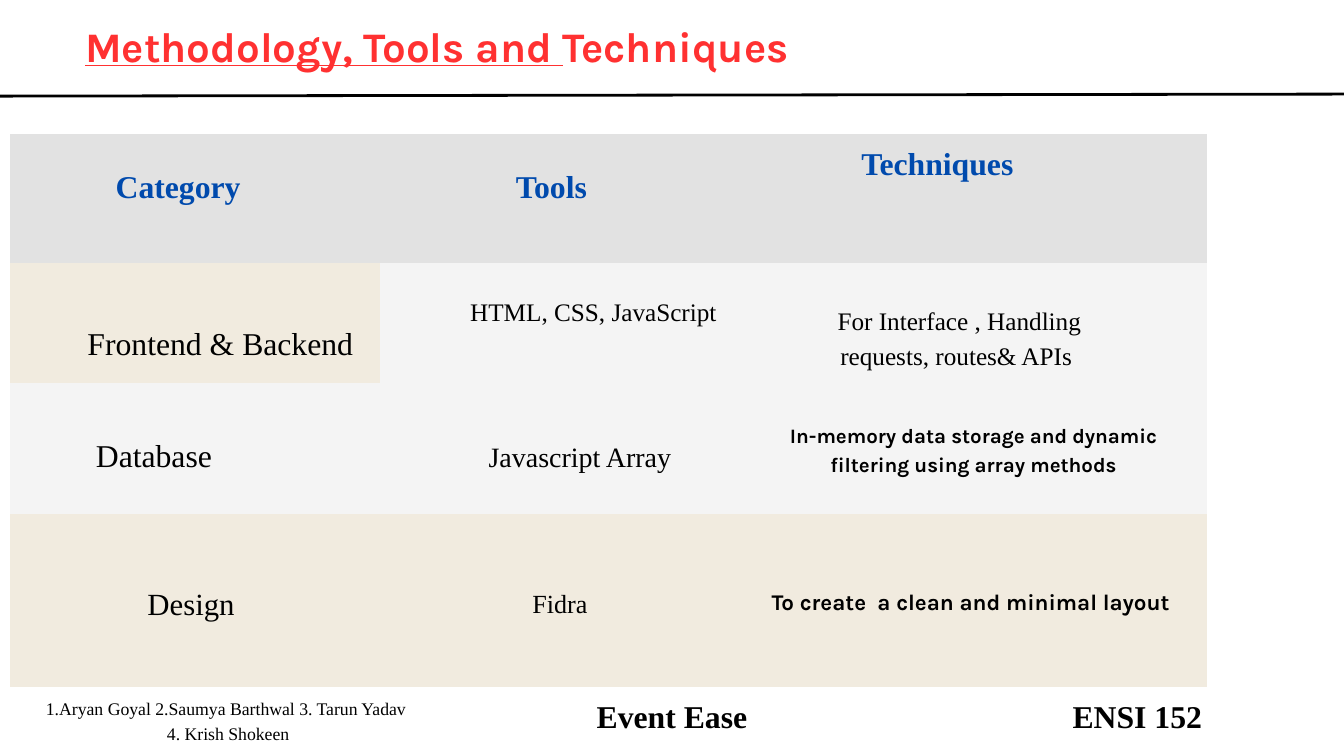
import dataclasses

import pptx
import pptx.dml.color
import pptx.enum.shapes
import pptx.enum.text
import pptx.oxml.ns
import pptx.util
from lxml import etree

Pt = pptx.util.Pt
Align = pptx.enum.text.PP_ALIGN
Anchor = pptx.enum.text.MSO_ANCHOR


@dataclasses.dataclass(frozen=True)
class Theme:
    serif: str = "Times New Roman"
    sans: str = "Karla"
    black: str = "000000"
    red: str = "FF3131"
    blue: str = "004AAD"
    grey: str = "E2E2E2"
    light: str = "F4F4F4"
    cream: str = "F1EBDF"
    title: float = 45
    heading: float = 34
    design: float = 33
    array: float = 30
    tool: float = 28
    body: float = 27
    layout: float = 24
    storage: float = 22
    names: float = 19
    leading: float = 1.4


THEME = Theme()


def rgb(value):
    return pptx.dml.color.RGBColor.from_string(value)


def set_all(target, values):
    for name, value in values.items():
        setattr(target, name, value)


def set_margins(target, margin):
    for side in ("left", "top", "right", "bottom"):
        setattr(target, f"margin_{side}", Pt(margin))


def write_paragraph(paragraph, runs, size, font=THEME.serif, color=THEME.black, bold=False):
    """Fill a centred paragraph from (text, underline) runs."""
    paragraph.alignment = Align.CENTER
    paragraph.line_spacing = Pt(size * THEME.leading)
    for text, underline in runs:
        run = paragraph.add_run()
        run.text = text
        set_all(run.font, {"name": font, "size": Pt(size), "bold": bold, "underline": underline})
        run.font.color.rgb = rgb(color)


def add_label(slide, box, offset, width, lines, size, rows=1, **style):
    """Add a text box at an offset from the corner of its region."""
    left, top = box[0] + offset[0], box[1] + offset[1]
    height = rows * size * THEME.leading + 3
    shape = slide.shapes.add_textbox(Pt(left), Pt(top), Pt(width), Pt(height))
    frame = shape.text_frame
    frame.word_wrap = True
    set_margins(frame, 0)
    for index, line in enumerate(lines):
        paragraph = frame.add_paragraph() if index else frame.paragraphs[0]
        write_paragraph(paragraph, [(line, False)], size, **style)


def build_header(slide, box):
    left, top, width, height = box
    title = slide.shapes.title
    set_all(title, {"left": Pt(left), "top": Pt(top), "width": Pt(936), "height": Pt(height)})
    frame = title.text_frame
    set_all(frame, {"word_wrap": True, "vertical_anchor": Anchor.MIDDLE,
                    "auto_size": pptx.enum.text.MSO_AUTO_SIZE.NONE})
    set_margins(frame, 4)
    write_paragraph(frame.paragraphs[0],
                    [("Methodology, Tools and ", True), ("Techniques", False)],
                    THEME.title, THEME.sans, THEME.red, True)

    # Rule under the title, rising slightly to the right
    rule = slide.shapes.add_connector(
        pptx.enum.shapes.MSO_CONNECTOR.STRAIGHT,
        Pt(left), Pt(top + 112.4), Pt(left + width), Pt(top + 110.2))
    rule.line.color.rgb = rgb(THEME.black)
    rule.line.width = Pt(3)
    etree.SubElement(rule._element.spPr, pptx.oxml.ns.qn("a:effectLst"))


def clear_borders(cell):
    properties = cell._tc.get_or_add_tcPr()
    for index, side in enumerate(("lnL", "lnR", "lnT", "lnB")):
        border = etree.Element(pptx.oxml.ns.qn(f"a:{side}"), w="0")
        etree.SubElement(border, pptx.oxml.ns.qn("a:noFill"))
        properties.insert(index, border)


def build_table(slide, box):
    left, top, width, height = box
    columns, rows = (396, 386, 500.4), (138.2, 128.2, 140.4, 185)
    fills = (
        (THEME.grey,) * 3,
        (THEME.cream, THEME.light, THEME.light),
        (THEME.light,) * 3,
        (THEME.cream,) * 3,
    )
    sans = {"font": THEME.sans, "bold": True}
    texts = {
        (2, 2): ("In-memory data storage and dynamic filtering using array methods",
                 THEME.storage, sans),
        (3, 0): ("Design ", THEME.design, {}),
        (3, 1): ("Fidra", THEME.tool, {}),
        (3, 2): ("To create  a clean and minimal layout ", THEME.layout, sans),
    }
    table = slide.shapes.add_table(len(rows), len(columns), Pt(left), Pt(top),
                                   Pt(width), Pt(height)).table
    set_all(table, {"first_row": False, "horz_banding": False})
    for column, size in zip(table.columns, columns):
        column.width = Pt(size)
    for row, size in zip(table.rows, rows):
        row.height = Pt(size)
    for row, row_fills in enumerate(fills):
        for column, fill in enumerate(row_fills):
            cell = table.cell(row, column)
            cell.fill.solid()
            cell.fill.fore_color.rgb = rgb(fill)
            clear_borders(cell)
            cell.vertical_anchor = Anchor.MIDDLE
            set_margins(cell, 15)
            if (row, column) in texts:
                text, size, style = texts[row, column]
                write_paragraph(cell.text_frame.paragraphs[0], [(text, False)], size, **style)


def build_table_labels(slide, box):
    # Column headings
    for text, offset, width in (
        ("Category ", (69.8, 28.1), 229),
        ("Tools ", (502.6, 28.1), 163.4),
        ("Techniques", (886.3, 3.6), 214.6),
    ):
        add_label(slide, box, offset, width, [text], THEME.heading,
                  color=THEME.blue, bold=True)

    # Entries of the frontend and database rows
    for text, offset, width, size, rows in (
        ("Frontend & Backend ", (68.7, 195.8), 321.8, THEME.heading, 1),
        ("HTML, CSS, JavaScript", (457.2, 167.8), 335.5, THEME.body, 1),
        ("For Interface , Handling requests, routes& APIs ", (839.5, 177.8), 355, THEME.body, 2),
        ("Database ", (77.8, 316), 161.3, THEME.heading, 1),
        ("Javascript Array", (502.6, 320.4), 216, THEME.array, 1),
    ):
        add_label(slide, box, offset, width, [text], size, rows)


def build_footer(slide, box):
    names = ["1.Aryan Goyal 2.Saumya Barthwal 3. Tarun Yadav ", "4. Krish Shokeen"]
    add_label(slide, box, (18, 4.4), 452.9, names, THEME.names, len(names))
    for text, x, width in (("Event Ease ", 637.2, 165.6), ("ENSI 152", 1147.7, 141.8)):
        add_label(slide, box, (x, 0), width, [text], THEME.heading, bold=True)


def main():
    presentation = pptx.Presentation()
    set_all(presentation, {"slide_width": Pt(1440), "slide_height": Pt(810)})
    slide = presentation.slides.add_slide(presentation.slide_layouts[5])
    table_box = (10.8, 144, 1282.4, 591.8)
    build_header(slide, (0, -9.4, 1440, 108.7))
    build_table(slide, table_box)
    build_table_labels(slide, table_box)
    build_footer(slide, (0, 739.4, 1440, 70.6))
    presentation.save("out.pptx")


if __name__ == "__main__":
    main()
